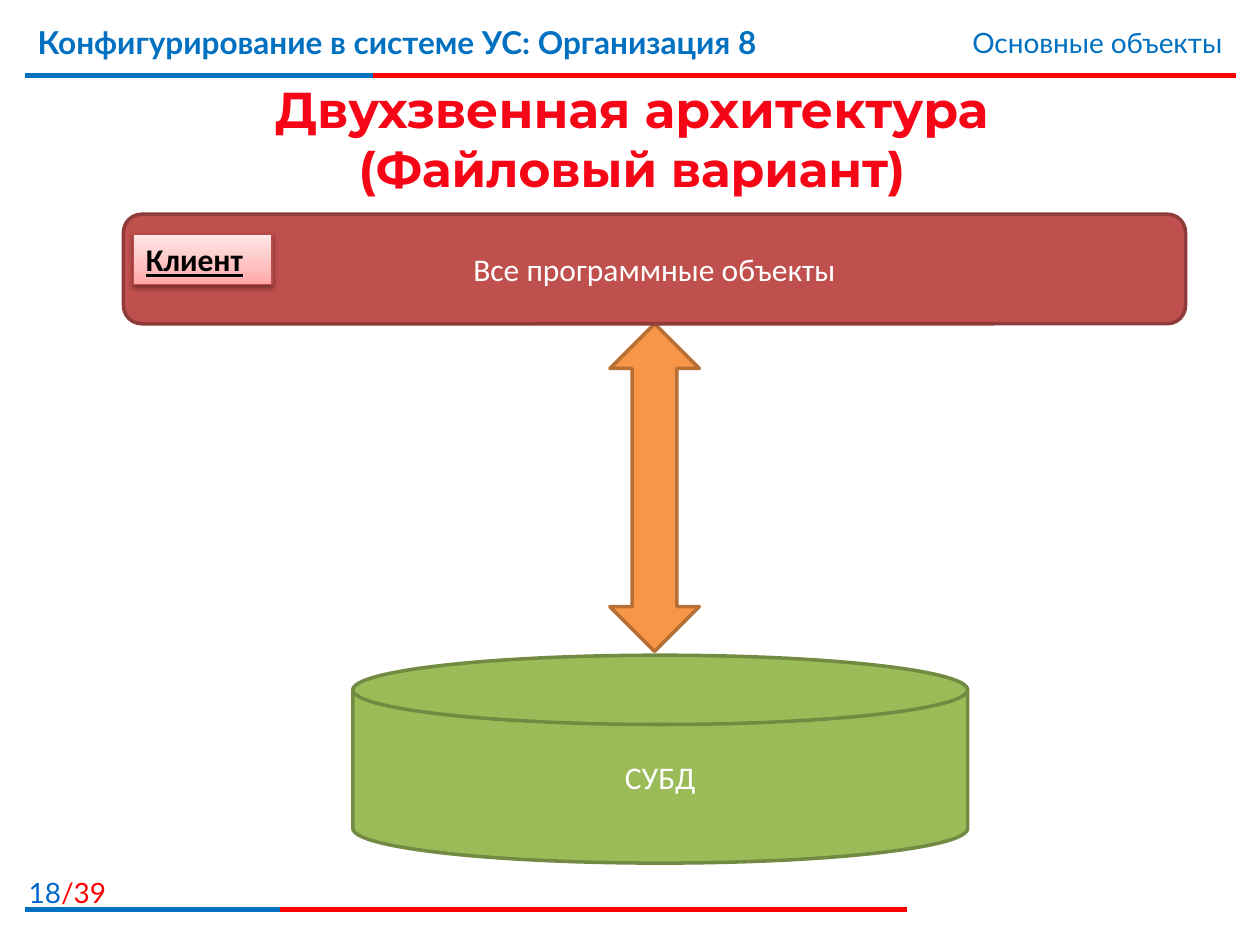
from dataclasses import dataclass

from lxml.etree import SubElement
from pptx import Presentation
from pptx.dml.color import RGBColor as Rgb
from pptx.enum.shapes import MSO_CONNECTOR as Link, MSO_SHAPE as Kind
from pptx.enum.text import MSO_ANCHOR as Anchor, PP_ALIGN as Align
from pptx.oxml import parse_xml
from pptx.oxml.ns import nsdecls, qn
from pptx.util import Inches, Pt


@dataclass(frozen=True)
class Theme:
    blue: str = "0070C0"
    page: str = "0066CC"
    red: str = "FF0000"
    title: str = "F50516"
    white: str = "FFFFFF"
    black: str = "000000"
    client: tuple = ("C0504D", "8E3B39")
    arrow: tuple = ("F79646", "B76F34")
    base: tuple = ("9BBB59", "738A42")
    tag: tuple = ("FFE7E7", "BF4C48")
    tint: tuple = ((0, "FFA6A5"), (35, "FFC0BF"), (100, "FFE7E7"))
    head: str = "Montserrat"
    bar: str = "Lato"
    body: str = "Calibri"
    small: float = 16
    normal: float = 18
    large: float = 28.8
    sub: float = 27.9
    edge: float = 2
    rule: float = 3


def write(shape, *parts, font, size=18, color="000000", bold=False,
          under=False, align=Align.LEFT, anchor=Anchor.TOP):
    """Fill one paragraph; a part is a string or (string, overrides).

    A line feed at the end of a part becomes a line break.
    """
    frame = shape.text_frame
    frame.word_wrap = True
    frame.vertical_anchor = anchor
    para = frame.paragraphs[0]
    para.alignment = align
    for part in parts:
        words, own = (part, {}) if isinstance(part, str) else part
        run = para.add_run()
        run.text = words.rstrip("\n")
        face = run.font
        face.name, face.bold, face.underline = font, bold, under
        face.size = Pt(own.get("size", size))
        face.color.rgb = Rgb.from_string(own.get("color", color))
        if words.endswith("\n"):
            para.add_line_break()


class Deck:
    """Slide on a grid of 100 columns by 75 rows, each 0.1 inch."""

    def __init__(self, theme):
        self.theme = theme
        self.file = Presentation()
        self.file.slide_width, self.file.slide_height = Inches(10), Inches(7.5)
        self.slide = self.file.slides.add_slide(self.file.slide_layouts[6])

    def grid(self, *cells):
        return [Inches(cell / 10) for cell in cells]

    def text(self, box, *parts, **style):
        write(self.slide.shapes.add_textbox(*self.grid(*box)), *parts, **style)

    def shape(self, kind, box, colors, width, *parts, **style):
        item = self.slide.shapes.add_shape(kind, *self.grid(*box))
        item.shadow.inherit = False
        fill, line = map(Rgb.from_string, colors)
        item.fill.solid()
        item.fill.fore_color.rgb = fill
        item.line.color.rgb = line
        item.line.width = Pt(width)
        if parts:
            write(item, *parts, **style)
        return item

    def line(self, left, right, row, color):
        rule = self.slide.shapes.add_connector(
            Link.STRAIGHT, *self.grid(left, row, right, row))
        rule.line.color.rgb = Rgb.from_string(color)
        rule.line.width = Pt(self.theme.rule)
        SubElement(rule.element.spPr, qn("a:effectLst"))

    def rule(self, split, end, row):
        """Red line whose first part is blue."""
        self.line(2, end, row, self.theme.red)
        self.line(2, split, row, self.theme.blue)

    def tint(self, shape, stops):
        """Upward gradient and a soft shadow below."""
        props = shape.element.spPr
        marks = "".join(
            f'<a:gs pos="{pos * 1000}"><a:srgbClr val="{color}"/></a:gs>'
            for pos, color in stops)
        props.replace(props.find(qn("a:solidFill")), parse_xml(
            f'<a:gradFill {nsdecls("a")} rotWithShape="1">'
            f'<a:gsLst>{marks}</a:gsLst>'
            '<a:lin ang="16200000" scaled="1"/></a:gradFill>'))
        props.replace(props.find(qn("a:effectLst")), parse_xml(
            f'<a:effectLst {nsdecls("a")}><a:outerShdw blurRad="{Pt(3.1)}" '
            f'dist="{Pt(1.6)}" dir="5400000" rotWithShape="0">'
            '<a:srgbClr val="000000"><a:alpha val="38000"/></a:srgbClr>'
            '</a:outerShdw></a:effectLst>'))


def main():
    look = Theme()
    deck = Deck(look)
    bar = dict(font=look.bar, color=look.blue)
    label = dict(font=look.body, size=look.normal, color=look.white,
                 align=Align.CENTER, anchor=Anchor.MIDDLE)

    deck.rule(29.6, 98.1, 6)
    deck.text((-1, 69, 10.4, 3.2), "18", ("/39", dict(color=look.red)),
              font=look.bar, size=look.small, color=look.page,
              align=Align.RIGHT)
    deck.rule(22.2, 72, 72.2)
    deck.text((2, 1.3, 74, 6.2),
              "Конфигурирование в системе УС: Организация 8",
              size=look.normal, bold=True, **bar)
    deck.text((59.4, 1.5, 38.6, 3.7), "Основные объекты",
              size=look.small, align=Align.RIGHT, **bar)
    deck.text((2.1, 6.3, 96.1, 9.3), "Двухзвенная архитектура\n",
              ("(Файловый вариант)", dict(size=look.sub)),
              font=look.head, size=look.large, color=look.title, bold=True,
              align=Align.CENTER, anchor=Anchor.MIDDLE)

    deck.shape(Kind.FLOWCHART_MAGNETIC_DISK, (28, 52, 48.8, 16.5),
               look.base, look.edge, "СУБД", **label)
    deck.shape(Kind.UP_DOWN_ARROW, (48.4, 25.7, 7.1, 26),
               look.arrow, look.edge)
    deck.shape(Kind.ROUNDED_RECTANGLE, (9.8, 17, 84.3, 8.7),
               look.client, look.edge, "Все программные объекты", **label)
    tag = deck.shape(Kind.RECTANGLE, (10.6, 18.6, 11, 4), look.tag, 0.75,
                     "Клиент", font=look.body, size=look.normal,
                     color=look.black, bold=True, under=True)
    deck.tint(tag, look.tint)

    deck.file.save("out.pptx")


if __name__ == "__main__":
    main()
